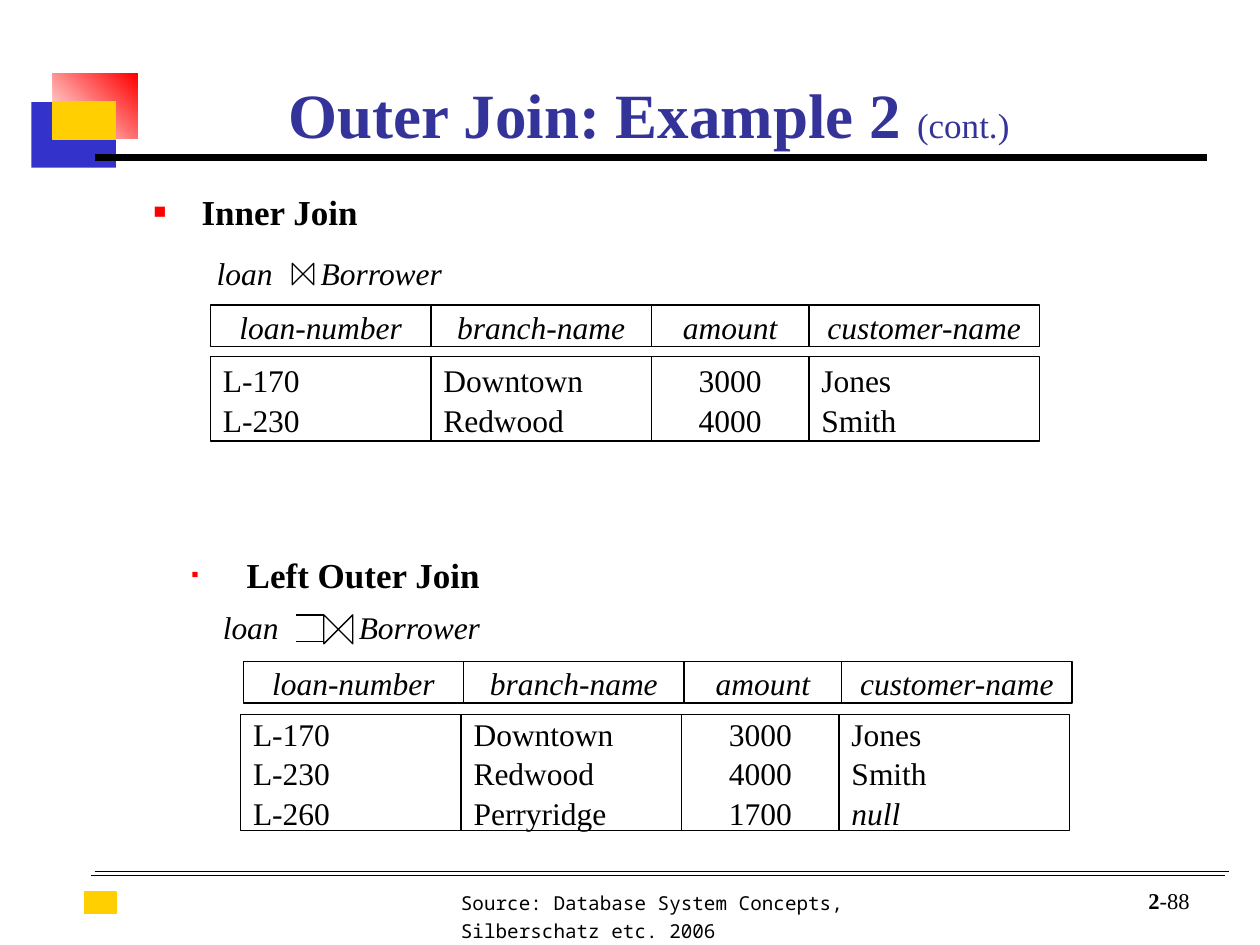
"""Build the outer join example slide with its two result grids."""
from typing import NamedTuple

from lxml import etree
from pptx import Presentation
from pptx import util as u
from pptx.dml import color
from pptx.enum import shapes, text
from pptx.oxml import ns

SERIF = "Times New Roman"
BLACK, WHITE, RED, GOLD = "000000", "FFFFFF", "FF0000", "FFCF01"
LEFT, MID, RIGHT = text.PP_ALIGN.LEFT, text.PP_ALIGN.CENTER, text.PP_ALIGN.RIGHT
LOW = text.MSO_ANCHOR.BOTTOM
WIDTHS = (1.75, 1.75, 1.25, 1.83)
HEADS = ("loan-number", "branch-name", "amount", "customer-name")
LOANS = (("L-170", "Downtown", "3000", "Jones"),
         ("L-230", "Redwood", "4000", "Smith"))


class Run(NamedTuple):
    words: str
    size: float
    bold: bool = False
    slant: bool = False
    tint: str = BLACK
    face: str = SERIF
    space: float = 0


class Box(NamedTuple):
    left: float
    top: float
    width: float
    height: float


class Rule(NamedTuple):
    start: tuple
    end: tuple
    weight: float


class Grid(NamedTuple):
    left: float
    top: float
    height: float
    rows: tuple
    head: bool = False


class Topic(NamedTuple):
    name: str
    mark: str
    hang: float
    start: float
    above: float
    space: float


RULES = (
    Rule((0.75, 6.92), (9.75, 6.92), 0.5),
    Rule((0.75, 1.25), (9.58, 1.25), 4.5),
    Rule((0.72, 6.95), (9.72, 6.95), 0.5),
    Rule((2.57, 4.88), (2.35, 4.88), 0.75),
    Rule((2.57, 5.09), (2.35, 5.09), 0.75),
)
GRIDS = (
    Grid(1.67, 2.42, 0.33, (HEADS,), True),
    Grid(1.67, 2.83, 0.67, LOANS),
    Grid(1.93, 5.25, 0.33, (HEADS,), True),
    Grid(1.91, 5.67, 0.92, LOANS + (("L-260", "Perryridge", "1700", "null"),)),
)
INNER = Topic("Inner Join", "■", 0.38, 0.5, 12.5, 22.9)
OUTER = Topic("Left Outer Join", "▪", 0.44, 0.25, 7.5, 41.2)


def rgb(code: str) -> color.RGBColor:
    return color.RGBColor.from_string(code)


def node(parent, tag: str, **attrs: str):
    return etree.SubElement(parent, ns.qn(tag), attrs)


def write(para, runs: tuple, align=LEFT) -> None:
    para.alignment = align
    for item in runs:
        run = para.add_run()
        run.text = item.words
        font = run.font
        font.name, font.size = item.face, u.Pt(item.size)
        font.bold, font.italic = item.bold, item.slant
        font.color.rgb = rgb(item.tint)
        if item.space:
            run._r.get_or_add_rPr().set("spc", str(round(item.space * 100)))


def place(shape, box: Box) -> None:
    shape.left, shape.top, shape.width, shape.height = map(u.Inches, box)


def label(slide, box: Box):
    frame = slide.shapes.add_textbox(*map(u.Inches, box)).text_frame
    frame.word_wrap = True
    return frame


def block(slide, box: Box, fill: str, line: str = "",
          kind=shapes.MSO_SHAPE.RECTANGLE):
    shape = slide.shapes.add_shape(kind, *map(u.Inches, box))
    shape.shadow.inherit = False
    shape.fill.solid()
    shape.fill.fore_color.rgb = rgb(fill)
    if line:
        shape.line.color.rgb = rgb(line)
        shape.line.width = u.Pt(0.75)
    else:
        shape.line.fill.background()
    return shape


def stroke(slide, rule: Rule) -> None:
    line = slide.shapes.add_connector(
        shapes.MSO_CONNECTOR.STRAIGHT, *map(u.Inches, rule.start + rule.end))
    line.line.color.rgb = rgb(BLACK)
    line.line.width = u.Pt(rule.weight)
    node(line._element.spPr, "a:effectLst")


def join(slide, box: Box) -> None:
    block(slide, box, WHITE, BLACK,
          shapes.MSO_SHAPE.FLOWCHART_COLLATE).rotation = 90


def indent(para, margin: float, first: float):
    prop = para._p.get_or_add_pPr()
    prop.set("marL", str(u.Inches(margin)))
    prop.set("indent", str(u.Inches(first)))
    return prop


def outline(frame, topic: Topic) -> None:
    head = frame.paragraphs[0]
    prop = indent(head, topic.hang, -topic.hang)
    node(node(prop, "a:buClr"), "a:srgbClr", val=RED)
    node(prop, "a:buSzPct", val="60000")
    node(prop, "a:buFont", typeface=SERIF)
    node(prop, "a:buChar", char=topic.mark)
    head.space_before = u.Pt(0)
    write(head, (Run(topic.name, 20, True),))

    line = frame.add_paragraph()
    node(indent(line, topic.start, 0), "a:buNone")
    line.space_before = u.Pt(topic.above)
    write(line, (Run("loan", 18, slant=True),
                 Run(" ", 18, slant=True, space=topic.space),
                 Run("Borrower", 18, slant=True)))


def band(slide, grid: Grid) -> None:
    for c, width in enumerate(WIDTHS):
        left = grid.left + sum(WIDTHS[:c])
        box = Box(left, grid.top, width, grid.height)
        frame = block(slide, box, WHITE, BLACK).text_frame
        frame.word_wrap = False
        frame.vertical_anchor = text.MSO_ANCHOR.MIDDLE
        for r, row in enumerate(grid.rows):
            para = frame.add_paragraph() if r else frame.paragraphs[0]
            para.line_spacing = 1.05
            slant = grid.head or row[c] == "null"
            write(para, (Run(row[c], 18, slant=slant),),
                  MID if grid.head or c == 2 else LEFT)


def main() -> None:
    deck = Presentation()
    deck.slide_width, deck.slide_height = u.Inches(10), u.Inches(7.5)
    slide = deck.slides.add_slide(deck.slide_layouts[1])

    title, body = slide.placeholders
    place(title, Box(1.17, 0.5, 7.96, 0.75))
    title.text_frame.vertical_anchor = LOW
    write(title.text_frame.paragraphs[0],
          (Run("Outer Join: Example 2 ", 36, True, tint="333399"),
           Run("(cont.)", 20, tint="333399")), MID)
    place(body, Box(1.12, 1.46, 7.9, 0.9))
    outline(body.text_frame, INNER)

    block(slide, Box(0.25, 0.81, 0.67, 0.52), "3333CC")
    fade = block(slide, Box(0.42, 0.58, 0.67, 0.52), RED).fill
    fade.gradient()
    fade.gradient_angle = 45
    for stop, tint in zip(fade.gradient_stops, (WHITE, RED)):
        stop.color.rgb = rgb(tint)
    block(slide, Box(0.42, 0.81, 0.5, 0.3), GOLD, GOLD)
    block(slide, Box(0.67, 7.08, 0.25, 0.17), GOLD, GOLD)

    outline(label(slide, Box(1.42, 4.34, 4.63, 0.85)), OUTER)
    for rule in RULES:
        stroke(slide, rule)
    join(slide, Box(2.32, 2.09, 0.17, 0.17))
    join(slide, Box(2.57, 4.88, 0.23, 0.23))
    for grid in GRIDS:
        band(slide, grid)

    source = label(slide, Box(3.56, 6.99, 4.35, 0.54)).paragraphs[0]
    source.line_spacing = 1.2
    write(source, (Run("Source: Database System Concepts, "
                       "Silberschatz etc. 2006", 11, face="Noto Sans Mono"),))
    page = label(slide, Box(8.71, 6.97, 0.83, 0.33))
    page.vertical_anchor = LOW
    write(page.paragraphs[0], (Run("2", 12.9, True), Run("-88", 12.9)), RIGHT)
    deck.save("out.pptx")


if __name__ == "__main__":
    main()
